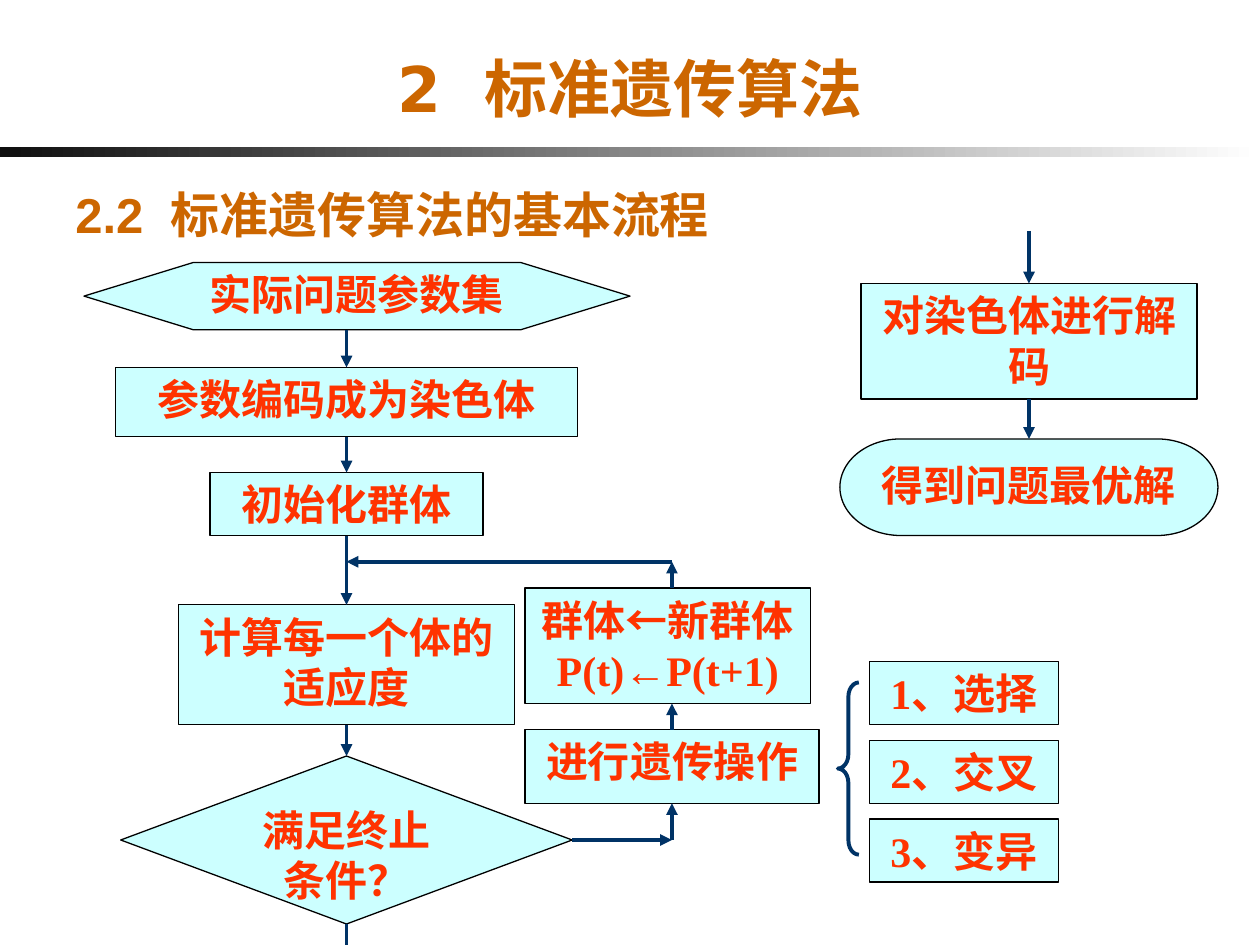
import pptx
import pptx.util
import pptx.dml.color
import pptx.enum.shapes
import pptx.enum.text
import pptx.oxml
import pptx.oxml.ns
from dataclasses import dataclass

SHAPE = pptx.enum.shapes.MSO_SHAPE
ALIGN = pptx.enum.text.PP_ALIGN
ANCHOR = pptx.enum.text.MSO_ANCHOR
TOP, LEFT, BOTTOM, RIGHT = range(4)
COLUMNS, ROWS = 120, 90
SLIDE_WIDTH, SLIDE_HEIGHT = pptx.util.Inches(10), pptx.util.Inches(7.5)


def color(code):
    return pptx.dml.color.RGBColor.from_string(code)


@dataclass(frozen=True)
class Theme:
    box_fill = color("CCFFFF")
    box_line = color("000000")
    arrow = color("003366")
    bar_colors = (color("0F0F0F"), color("FFFFFF"))
    heading = color("CC6600")
    box_text = color("FF3300")
    heading_font = "DejaVu Sans"
    number_font = "Arial"
    box_font = "Times New Roman"
    title_size = pptx.util.Pt(36)
    subtitle_size = pptx.util.Pt(28)
    box_size = pptx.util.Pt(24)
    box_weight = pptx.util.Pt(0.75)
    arrow_weight = pptx.util.Pt(2.25)


THEME = Theme()


@dataclass(frozen=True)
class Region:
    left: float
    top: float

    def point(self, column, row):
        return (round((self.left + column) * SLIDE_WIDTH / COLUMNS),
                round((self.top + row) * SLIDE_HEIGHT / ROWS))

    def area(self, column, row, width, height):
        return (*self.point(column, row), *Region(0, 0).point(width, height))


def set_values(target, values):
    for name, value in values.items():
        setattr(target, name, value)


def add_run(paragraph, text, font, size, text_color, spacing=0):
    run = paragraph.add_run()
    run.text = text
    set_values(run.font, {"name": font, "size": size, "bold": True})
    run.font.color.rgb = text_color
    if spacing:
        run.font._element.set("spc", str(spacing))


def add_heading(paragraph, number, words, number_font, size, spacing):
    for text, font, gap in ((number, number_font, 0), (" ", number_font, spacing),
                            (words, THEME.heading_font, 0)):
        add_run(paragraph, text, font, size, THEME.heading, gap)


def add_box(slide, region, kind, area, *lines):
    shape = slide.shapes.add_shape(kind, *region.area(*area))
    shape.shadow.inherit = False
    shape.fill.solid()
    shape.fill.fore_color.rgb = THEME.box_fill
    shape.line.color.rgb = THEME.box_line
    shape.line.width = THEME.box_weight
    frame = shape.text_frame
    set_values(frame, {"word_wrap": True, "vertical_anchor": ANCHOR.TOP})
    for index, text in enumerate(lines):
        paragraph = frame.add_paragraph() if index else frame.paragraphs[0]
        paragraph.alignment = ALIGN.CENTER
        add_run(paragraph, text, THEME.box_font, THEME.box_size, THEME.box_text)
    return shape


def add_arrow(slide, region, start, end, begin=None, finish=None, arrowhead=True):
    connector = slide.shapes.add_connector(
        pptx.enum.shapes.MSO_CONNECTOR.STRAIGHT, *region.point(*start), *region.point(*end))
    connector.line.color.rgb = THEME.arrow
    connector.line.width = THEME.arrow_weight
    properties = connector._element.spPr
    if arrowhead:
        line = properties.find(pptx.oxml.ns.qn("a:ln"))
        line.append(pptx.oxml.parse_xml(
            f'<a:tailEnd {pptx.oxml.ns.nsdecls("a")} type="triangle"/>'))
    properties.append(pptx.oxml.parse_xml(f'<a:effectLst {pptx.oxml.ns.nsdecls("a")}/>'))
    if begin:
        connector.begin_connect(*begin)
    if finish:
        connector.end_connect(*finish)


def build_header(slide, region):
    bar = slide.shapes.add_shape(SHAPE.RECTANGLE, *region.area(0, 14, COLUMNS, 1))
    bar.shadow.inherit = False
    bar.line.fill.background()
    bar.fill.gradient()
    bar.fill.gradient_angle = 0
    for stop, stop_color in zip(bar.fill.gradient_stops, THEME.bar_colors):
        stop.color.rgb = stop_color

    title = slide.shapes.title
    set_values(title, dict(zip(("left", "top", "width", "height"),
                               region.area(8, 2, 104, 12.6))))
    title.text_frame.vertical_anchor = ANCHOR.MIDDLE
    paragraph = title.text_frame.paragraphs[0]
    paragraph.alignment = ALIGN.CENTER
    add_heading(paragraph, "2", "标准遗传算法", THEME.heading_font, THEME.title_size, 1250)

    subtitle = slide.shapes.add_textbox(*region.area(6, 17, 94, 7.5))
    subtitle.text_frame.word_wrap = True
    add_heading(subtitle.text_frame.paragraphs[0], "2.2", "标准遗传算法的基本流程",
                THEME.number_font, THEME.subtitle_size, 780)


def build_main_flow(slide, region):
    middle = 25
    add_box(slide, region, SHAPE.FLOWCHART_PREPARATION, (0, 0, 52, 6.4), "实际问题参数集")
    encode = add_box(slide, region, SHAPE.FLOWCHART_PROCESS, (3, 10, 44, 6.6),
                     "参数编码成为染色体")
    initialize = add_box(slide, region, SHAPE.FLOWCHART_PROCESS, (12, 20, 26, 6), "初始化群体")
    fitness = add_box(slide, region, SHAPE.FLOWCHART_PROCESS, (9, 32.6, 32, 11.4),
                      "计算每一个体的适应度")
    decision = add_box(slide, region, SHAPE.FLOWCHART_DECISION, (3.5, 47, 43, 16),
                       "满足终止条件？")
    add_arrow(slide, region, (middle, 6.4), (middle, 10), finish=(encode, TOP))
    for upper, lower in ((encode, initialize), (initialize, fitness), (fitness, decision)):
        add_arrow(slide, region, (middle, 0), (middle, 0), (upper, BOTTOM), (lower, TOP))
    add_arrow(slide, region, (middle, 63), (middle, 65), (decision, BOTTOM), arrowhead=False)
    return decision


def build_loop(slide, region, decision):
    middle, entry, turn = 31, 0, 26.5
    update = (17, 2.5, 27.2, 11)
    operate = add_box(slide, region, SHAPE.FLOWCHART_PROCESS, (17, 16, 28, 7), "进行遗传操作")
    add_box(slide, region, SHAPE.FLOWCHART_PROCESS, update, "群体←新群体", "P(t)←P(t+1)")
    add_arrow(slide, region, (21.5, turn), (middle, turn), begin=(decision, RIGHT))
    add_arrow(slide, region, (middle, turn), (middle, 23), finish=(operate, BOTTOM))
    add_arrow(slide, region, (middle, 16), (middle, 13.5), begin=(operate, TOP))
    add_arrow(slide, region, (middle, 2.5), (middle, entry))
    add_arrow(slide, region, (middle, entry), (0, entry))


def build_operations(slide, region):
    brace = slide.shapes.add_shape(SHAPE.LEFT_BRACE, *region.area(0, 2, 2, 16.4))
    brace.shadow.inherit = False
    brace.fill.background()
    brace.line.color.rgb = THEME.arrow
    brace.line.width = THEME.arrow_weight
    brace.adjustments[0] = 0.68
    for index, name in enumerate(("选择", "交叉", "变异")):
        add_box(slide, region, SHAPE.RECTANGLE, (3, 7.5 * index, 18, 6), f"{index + 1}、{name}")


def build_result(slide, region):
    middle = 18
    decode = add_box(slide, region, SHAPE.FLOWCHART_PROCESS, (2, 5, 32, 11), "对染色体进行解码")
    solution = add_box(slide, region, SHAPE.FLOWCHART_TERMINATOR, (0, 19.8, 36, 9.2),
                       "得到问题最优解")
    add_arrow(slide, region, (middle, 0), (middle, 5), finish=(decode, TOP))
    add_arrow(slide, region, (middle, 16), (middle, 19.8), (decode, BOTTOM), (solution, TOP))


def main():
    presentation = pptx.Presentation()
    set_values(presentation, {"slide_width": SLIDE_WIDTH, "slide_height": SLIDE_HEIGHT})
    slide = presentation.slides.add_slide(presentation.slide_layouts[5])
    build_header(slide, Region(0, 0))
    decision = build_main_flow(slide, Region(8, 25))
    build_loop(slide, Region(33, 53.5), decision)
    build_operations(slide, Region(79.8, 63))
    build_result(slide, Region(80, 22))
    presentation.save("out.pptx")


if __name__ == "__main__":
    main()
